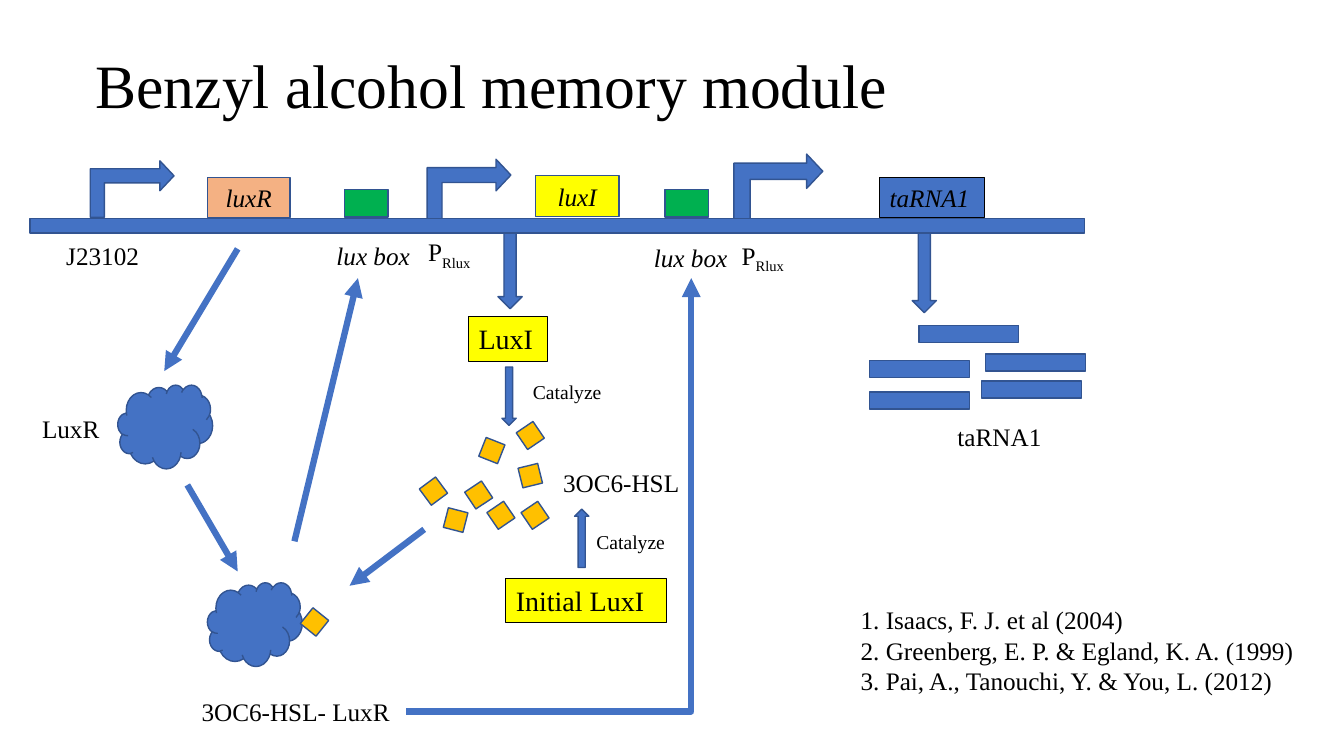
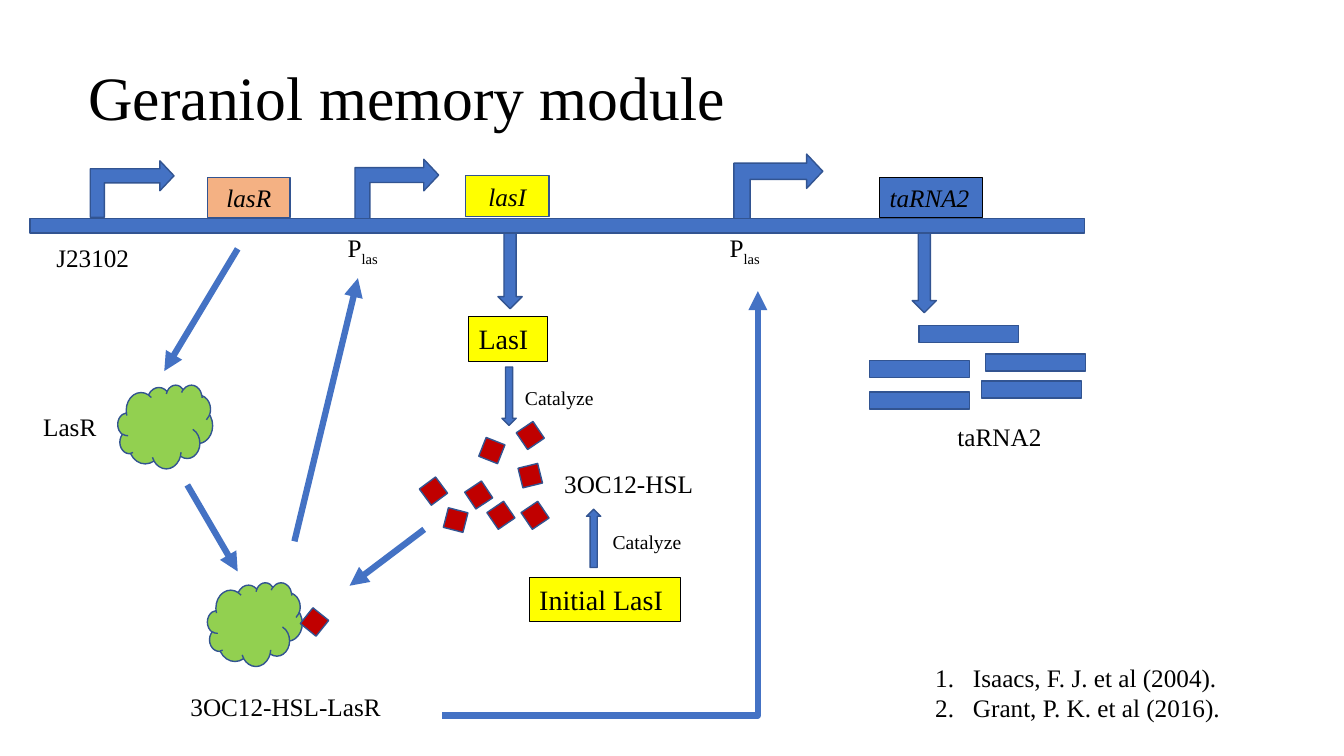
from dataclasses import dataclass

from pptx import Presentation
from pptx.dml.color import RGBColor
from pptx.enum.shapes import MSO_CONNECTOR, MSO_SHAPE
from pptx.enum.text import MSO_ANCHOR, MSO_AUTO_SIZE, PP_ALIGN
from pptx.oxml.ns import qn
from pptx.oxml.xmlchemy import OxmlElement
from pptx.util import Cm, Pt

FONT = "Times New Roman"
BLACK = "000000"
BLUE = "4472C4"
OUTLINE = "325491"
YELLOW = "FFFF00"
PEACH = "F4B183"
GREEN = "00B050"

SIGNAL_SQUARES = [
    (12.14, 11.1, 21.6), (13.11, 10.72, 325.8), (11.81, 12.22, 326.3),
    (11.23, 12.85, 14.4), (13.11, 11.73, 346.1), (10.67, 12.12, 323.4),
    (12.37, 12.73, 325.7), (13.23, 12.73, 325.9), (7.67, 15.42, 38.8),
]
RNA_STRANDS = [(21.92, 9.09), (24.84, 8.92), (21.92, 9.88), (24.74, 9.6), (23.16, 8.2)]
STRAIGHT_ARROWS = [
    (7.42, 13.64, 9.02, 7.01), (4.72, 12.22, 5.99, 14.4),
    (10.69, 13.34, 8.81, 14.76), (5.99, 6.27, 4.14, 9.35),
]
RECEPTOR_CLOUDS = [(2.97, 9.7), (5.23, 14.68)]


@dataclass
class Module:
    title: str
    title_at: tuple
    system: str
    signal: str
    signal_at: tuple
    complex_name: str
    complex_at: tuple
    rna: str
    rna_width: float
    receptor_at: tuple
    part_at: tuple
    promoter: str
    promoters_at: list
    synthase_promoter_left: float
    synthase_gene_left: float
    lux_boxes: list
    initial_at: tuple
    initial_arrow_left: float
    catalyze_at: list
    feedback: tuple
    references: str
    references_at: tuple
    numbered: bool
    cloud_color: str
    signal_color: str


BENZYL = Module(
    title="Benzyl alcohol memory module", title_at=(2.16, 0.38), system="ux",
    signal="3OC6-HSL", signal_at=(13.94, 11.66, 3.66),
    complex_name="3OC6-HSL- LuxR", complex_at=(4.83, 17.42, 5.44),
    rna="taRNA1", rna_width=2.64, receptor_at=(0.81, 10.29), part_at=(1.42, 5.92),
    promoter="Rlux", promoters_at=[(10.54, 5.84, 1.78), (18.44, 5.92, 2.21)],
    synthase_promoter_left=11.07, synthase_gene_left=13.49,
    lux_boxes=[(8.69, 8.23, 5.94), (16.76, 16.23, 5.99)],
    initial_at=(12.75, 14.58, 4.06), initial_arrow_left=14.48,
    catalyze_at=[(13.18, 9.45, 2.59), (14.78, 13.23, 2.84)],
    feedback=(10.24, 17.93, 17.42, 7.01),
    references="1. Isaacs, F. J. et al (2004)\n"
               "2. Greenberg, E. P. & Egland, K. A. (1999)\n"
               "3. Pai, A., Tanouchi, Y. & You, L. (2012)",
    references_at=(21.44, 15.11, 11.84, 2.57), numbered=False,
    cloud_color=BLUE, signal_color="FFC000",
)
GERANIOL = Module(
    title="Geraniol memory module", title_at=(1.98, 0.69), system="as",
    signal="3OC12-HSL", signal_at=(13.97, 11.68, 3.8),
    complex_name="3OC12-HSL-LasR", complex_at=(4.55, 17.3, 5.51),
    rna="taRNA2", rna_width=2.58, receptor_at=(0.84, 10.24), part_at=(1.17, 5.97),
    promoter="las", promoters_at=[(8.51, 5.74, 2.21), (18.14, 5.74, 1.5)],
    synthase_promoter_left=9.25, synthase_gene_left=11.73,
    lux_boxes=[],
    initial_at=(13.34, 14.55, 3.8), initial_arrow_left=14.78,
    catalyze_at=[(12.98, 9.6, 2.79), (15.19, 13.23, 2.51)],
    feedback=(11.15, 18.03, 19.1, 7.34),
    references="Isaacs, F. J. et al (2004).\nGrant, P. K. et al (2016).",
    references_at=(23.32, 16.56, 9.78, 1.8), numbered=True,
    cloud_color="92D050", signal_color="C00000",
)


def color(value):
    return RGBColor.from_string(value)


def number_paragraph(para):
    properties = para._p.get_or_add_pPr()
    properties.set("marL", str(Cm(0.95)))
    properties.set("indent", str(-Cm(0.95)))
    numbering = OxmlElement("a:buAutoNum")
    numbering.set("type", "arabicPeriod")
    properties.append(numbering)


def add_span(para, text, size, italic):
    span = para.add_run()
    span.text = text
    span.font.name = FONT
    span.font.size = Pt(size)
    span.font.italic = italic
    span.font.color.rgb = color(BLACK)
    return span


def write_text(box, text, size=18, italic=False, align=PP_ALIGN.LEFT, anchor=MSO_ANCHOR.TOP,
               grow=True, wrap=True, subscript="", numbered=False, line_spacing=None):
    frame = box.text_frame
    frame.word_wrap = wrap
    frame.auto_size = MSO_AUTO_SIZE.SHAPE_TO_FIT_TEXT if grow else MSO_AUTO_SIZE.NONE
    frame.vertical_anchor = anchor
    for index, line in enumerate(text.split("\n")):
        para = frame.add_paragraph() if index else frame.paragraphs[0]
        para.alignment = align
        if line_spacing:
            para.line_spacing = line_spacing
        if numbered:
            number_paragraph(para)
        add_span(para, line, size, italic)
        if subscript:
            span = add_span(para, subscript, size, italic)
            span._r.get_or_add_rPr().set("baseline", "-25000")


def add_label(page, text, left, top, width, height=1.02, **text_format):
    box = page.shapes.add_textbox(Cm(left), Cm(top), Cm(width), Cm(height))
    write_text(box, text, **text_format)


def add_block(page, left, top, width, height, fill=BLUE, kind=MSO_SHAPE.RECTANGLE,
              line=OUTLINE, line_width=1, rotation=0):
    block = page.shapes.add_shape(kind, Cm(left), Cm(top), Cm(width), Cm(height))
    block.shadow.inherit = False
    block.fill.solid()
    block.fill.fore_color.rgb = color(fill)
    block.line.color.rgb = color(line)
    block.line.width = Pt(line_width)
    block.rotation = rotation
    return block


def add_gene(page, text, left, top, width, height, fill):
    gene = add_block(page, left, top, width, height, fill)
    write_text(gene, text, italic=True, align=PP_ALIGN.CENTER,
               anchor=MSO_ANCHOR.MIDDLE, grow=False)


def add_product_box(page, text, left, top, width, height=1.12, fill=YELLOW, **text_format):
    box = add_block(page, left, top, width, height, fill, line=BLACK, line_width=0.75)
    write_text(box, text, **text_format)


def add_promoter(page, left, top, width, height):
    promoter = add_block(page, left, top, width, height,
                         kind=MSO_SHAPE.BENT_UP_ARROW, rotation=270)
    promoter.element.spPr.get_or_add_xfrm().set("flipV", "1")
    for index, value in enumerate((0.25, 0.265, 0.25)):
        promoter.adjustments[index] = value


def add_down_arrow(page, left, top, width, height, rotation=0):
    add_block(page, left, top, width, height, kind=MSO_SHAPE.DOWN_ARROW, rotation=rotation)


def add_arrow(page, start_x, start_y, end_x, end_y, kind=MSO_CONNECTOR.STRAIGHT):
    arrow = page.shapes.add_connector(kind, Cm(start_x), Cm(start_y), Cm(end_x), Cm(end_y))
    arrow.line.color.rgb = color(BLUE)
    arrow.line.width = Pt(4.5)
    head = OxmlElement("a:tailEnd")
    head.set("type", "triangle")
    arrow.line._get_or_add_ln().append(head)
    properties = arrow.element.spPr
    properties.append(OxmlElement("a:effectLst"))
    if kind == MSO_CONNECTOR.ELBOW:
        properties.find(qn("a:prstGeom")).set("prst", "bentConnector2")


def add_gene_strand(page, module):
    add_gene(page, f"l{module.system}R", 5.23, 4.47, 2.08, 1.02, PEACH)
    add_gene(page, f"l{module.system}I", module.synthase_gene_left, 4.42, 2.11, 1.04, YELLOW)
    add_product_box(page, module.rna, 22.17, 4.47, module.rna_width, 1.02, BLUE, italic=True)
    add_promoter(page, 2.62, 3.71, 1.42, 2.11)
    add_promoter(page, module.synthase_promoter_left, 3.71, 1.5, 2.11)
    add_promoter(page, 18.8, 3.58, 1.63, 2.24)
    add_down_arrow(page, 12.55, 5.77, 0.61, 2.01)
    add_down_arrow(page, 22.99, 5.87, 0.61, 2.01)
    add_block(page, 0.76, 5.51, 26.57, 0.36)
    add_label(page, "J23102", *module.part_at, 2.4)
    for position in module.promoters_at:
        add_label(page, "P", *position, subscript=module.promoter)
    for box_left, label_left, label_top in module.lux_boxes:
        add_block(page, box_left, 4.78, 1.09, 0.69, GREEN)
        add_label(page, "lux box", label_left, label_top, 2.4, italic=True)


def add_signal_loop(page, module):
    synthase = f"L{module.system}I"
    add_product_box(page, synthase, 11.81, 7.98, 1.98, size=20)
    add_product_box(page, f"Initial {synthase}", *module.initial_at, size=20)
    add_down_arrow(page, 12.65, 9.25, 0.36, 1.47)
    add_down_arrow(page, module.initial_arrow_left, 12.83, 0.36, 1.47, rotation=180)
    for position in module.catalyze_at:
        add_label(page, "Catalyze", *position, 0.86, size=14)
    add_label(page, module.signal, *module.signal_at)
    add_label(page, f"L{module.system}R", *module.receptor_at, 2.08)
    add_label(page, module.complex_name, *module.complex_at)
    for coordinates in STRAIGHT_ARROWS:
        add_arrow(page, *coordinates)
    add_arrow(page, *module.feedback, kind=MSO_CONNECTOR.ELBOW)
    for left, top in RECEPTOR_CLOUDS:
        add_block(page, left, top, 2.39, 2.11, module.cloud_color, MSO_SHAPE.CLOUD)
    for left, top, rotation in SIGNAL_SQUARES:
        add_block(page, left, top, 0.51, 0.51, module.signal_color, rotation=rotation)


def add_rna_output(page, module):
    for left, top in RNA_STRANDS:
        add_block(page, left, top, 2.51, 0.43, kind=MSO_SHAPE.FLOWCHART_PROCESS)
    add_label(page, module.rna, 23.88, 10.49, 2.64, wrap=False)


def add_module_page(deck, module):
    page = deck.slides.add_slide(deck.slide_layouts[6])
    add_label(page, module.title, *module.title_at, 29.21, 3.68, size=44,
              anchor=MSO_ANCHOR.MIDDLE, grow=False, line_spacing=0.9)
    add_gene_strand(page, module)
    add_signal_loop(page, module)
    add_rna_output(page, module)
    add_label(page, module.references, *module.references_at, numbered=module.numbered)


def main():
    deck = Presentation()
    deck.slide_width = Cm(33.87)
    deck.slide_height = Cm(19.05)
    for module in (BENZYL, GERANIOL):
        add_module_page(deck, module)
    deck.save("out.pptx")


if __name__ == "__main__":
    main()
